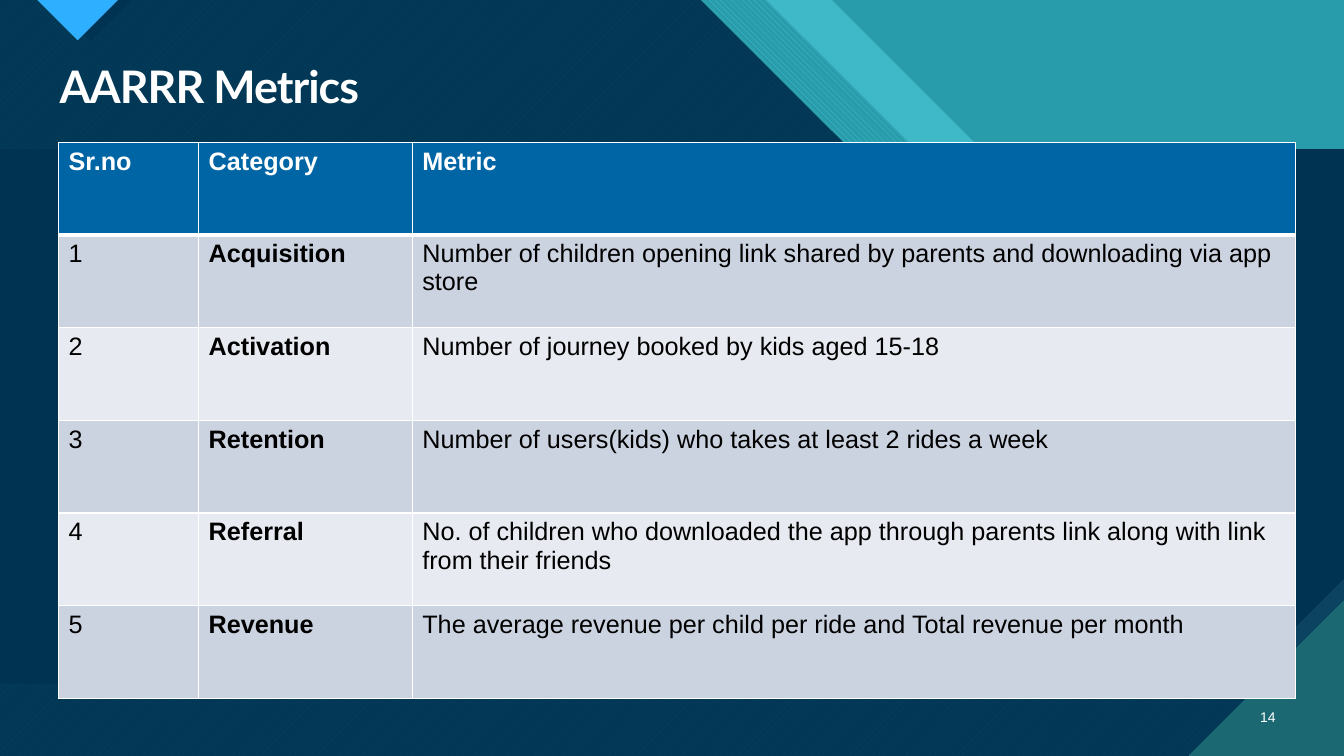
from lxml import etree
from pptx import Presentation
from pptx import util as u
from pptx.dml.color import RGBColor
from pptx.enum import dml, text
from pptx.oxml import ns

WHITE = RGBColor(0xFF, 0xFF, 0xFF)
BLACK = RGBColor(0x00, 0x00, 0x00)
TEAL = RGBColor(0x29, 0x9C, 0xAB)
AQUA = RGBColor(0x47, 0xC3, 0xD3)
DEEP_TEAL = RGBColor(0x1B, 0x68, 0x72)
NAVY = RGBColor(0x00, 0x33, 0x52)
SLATE = RGBColor(0x0C, 0x43, 0x60)
SKY = RGBColor(0x2F, 0xAF, 0xFF)
HEADER_BLUE = RGBColor(0x00, 0x65, 0xA4)
ROW_FILLS = [RGBColor(0xCC, 0xD3, 0xE0), RGBColor(0xE7, 0xEA, 0xF0)]

W, H = 13.33, 7.5
MARGIN = 0.49
CONTENT_WIDTH = 12.26
PATTERN = dml.MSO_PATTERN

prs = Presentation()
prs.slide_width, prs.slide_height = u.Inches(W), u.Inches(H)
slide = prs.slides.add_slide(prs.slide_layouts[5])
slide.background.fill.solid()
slide.background.fill.fore_color.rgb = TEAL


def add_panel(points, color, opacity=100, pattern=None, back=None):
    """Draw a closed backdrop outline, given in inches, in a plain or patterned fill."""
    start, *rest = [(u.Inches(x), u.Inches(y)) for x, y in points]
    builder = slide.shapes.build_freeform(*start)
    builder.add_line_segments(rest, close=True)
    panel = builder.convert_to_shape()
    panel.shadow.inherit = False
    panel.line.fill.background()
    if pattern is None:
        panel.fill.solid()
    else:
        panel.fill.patterned()
        panel.fill.pattern = pattern
        panel.fill.back_color.rgb = back
    panel.fill.fore_color.rgb = color
    if opacity < 100:
        clr = panel.element.spPr.find(".//" + ns.qn("a:srgbClr"))
        etree.SubElement(clr, ns.qn("a:alpha"), val=str(opacity * 1000))


def slanted(top_right, shelf, edge):
    """Outline of a backdrop whose right side steps down at 45 degrees."""
    step = 2.97
    return [(0, 0), (top_right, 0), (top_right + step, step), (shelf, step),
            (W, edge), (W, H), (0, H)]


# Diagonal backdrop, from the lightest layer to the navy one
navy_outline = slanted(6.95, 11.18, 5.12)
add_panel(slanted(8.25, 12.34, 3.96), AQUA, opacity=74)
add_panel(slanted(7.6, 11.84, 4.47), AQUA, pattern=PATTERN.WIDE_DOWNWARD_DIAGONAL, back=TEAL)
add_panel(navy_outline, AQUA, pattern=PATTERN.WIDE_UPWARD_DIAGONAL, back=DEEP_TEAL)
add_panel(navy_outline, NAVY, opacity=90)

# Marker at the top edge
add_panel([(0.48, 0), (0.9, 0.41), (1.31, 0)], NAVY)
add_panel([(0.37, 0), (0.77, 0.4), (1.17, 0)], SKY,
          pattern=PATTERN.DARK_HORIZONTAL, back=DEEP_TEAL)

# Middle band with a cut corner, and the corner triangle
band_top, band_bottom, cut = 1.48, 6.78, 1.04
add_panel([(0, band_top), (W, band_top), (W, band_bottom), (0, band_bottom)], SLATE,
          pattern=PATTERN.DARK_VERTICAL, back=DEEP_TEAL)
add_panel([(0, band_top), (W, band_top), (W, band_bottom - cut),
           (W - cut, band_bottom), (0, band_bottom)], NAVY)
corner = 1.54
add_panel([(W - corner, H), (W, H), (W, H - corner)], DEEP_TEAL,
          pattern=PATTERN.DARK_HORIZONTAL, back=AQUA)

# Title, brought in front of the backdrop
title = slide.shapes.title
slide.shapes.element.append(title.element)
title.left, title.top = u.Inches(MARGIN), u.Inches(0.59)
title.width, title.height = u.Inches(CONTENT_WIDTH), u.Inches(0.59)
title.text_frame.text = "AARRR Metrics"
title.text_frame.auto_size = text.MSO_AUTO_SIZE.NONE
title.text_frame.vertical_anchor = text.MSO_ANCHOR.MIDDLE
heading = title.text_frame.paragraphs[0]
heading.alignment = text.PP_ALIGN.LEFT
heading.line_spacing = 0.9
heading_font = heading.runs[0].font
heading_font.name, heading_font.size, heading_font.bold = "Lato", u.Pt(32), True
heading_font.color.rgb = WHITE
heading.runs[0].font._element.set("spc", "-70")

# Page number
number_width = 0.44
page_number = slide.shapes.add_textbox(
    u.Inches(MARGIN + CONTENT_WIDTH - number_width), u.Inches(6.91),
    u.Inches(number_width), u.Inches(0.4))
page_number.text_frame.word_wrap = True
page_number.text_frame.vertical_anchor = text.MSO_ANCHOR.MIDDLE
page_number.text_frame.text = "14"
number = page_number.text_frame.paragraphs[0]
number.alignment = text.PP_ALIGN.RIGHT
number_font = number.runs[0].font
number_font.name, number_font.size = "Arial", u.Pt(10)
number_font.color.rgb = WHITE

# Metrics table
metrics = [
    ("Sr.no", "Category", "Metric"),
    ("1", "Acquisition",
     "Number of children opening link shared by parents and downloading via app store"),
    ("2", "Activation", "Number of journey booked by kids aged 15-18"),
    ("3", "Retention", "Number of users(kids) who takes at least 2 rides a week"),
    ("4", "Referral",
     "No. of children who downloaded the app through parents link along with link "
     "from their friends"),
    ("5", "Revenue", "The average revenue per child per ride and Total revenue per month"),
]
column_widths = [1.39, 2.12, 8.76]
row_height = 0.92
table = slide.shapes.add_table(
    len(metrics), len(column_widths), u.Inches(0.58), u.Inches(1.41),
    u.Inches(sum(column_widths)), u.Inches(row_height * len(metrics))).table
for column, width in zip(table.columns, column_widths):
    column.width = u.Inches(width)

for r, entries in enumerate(metrics):
    table.rows[r].height = u.Inches(row_height)
    is_header = r == 0
    for c, entry in enumerate(entries):
        cell = table.cell(r, c)
        cell.text_frame.text = entry
        font = cell.text_frame.paragraphs[0].runs[0].font
        font.name, font.size = "Arial", u.Pt(18)
        font.bold = is_header or c == 1
        font.color.rgb = WHITE if is_header else BLACK
        borders = cell._tc.get_or_add_tcPr()
        for side in ("lnL", "lnR", "lnT", "lnB"):
            thick = (is_header and side == "lnB") or (r == 1 and side == "lnT")
            line = etree.SubElement(borders, ns.qn("a:" + side), w=str(u.Pt(3 if thick else 1)))
            line_fill = etree.SubElement(line, ns.qn("a:solidFill"))
            etree.SubElement(line_fill, ns.qn("a:srgbClr"), val=str(WHITE))
        cell.fill.solid()
        cell.fill.fore_color.rgb = HEADER_BLUE if is_header else ROW_FILLS[(r - 1) % 2]

prs.save("out.pptx")
